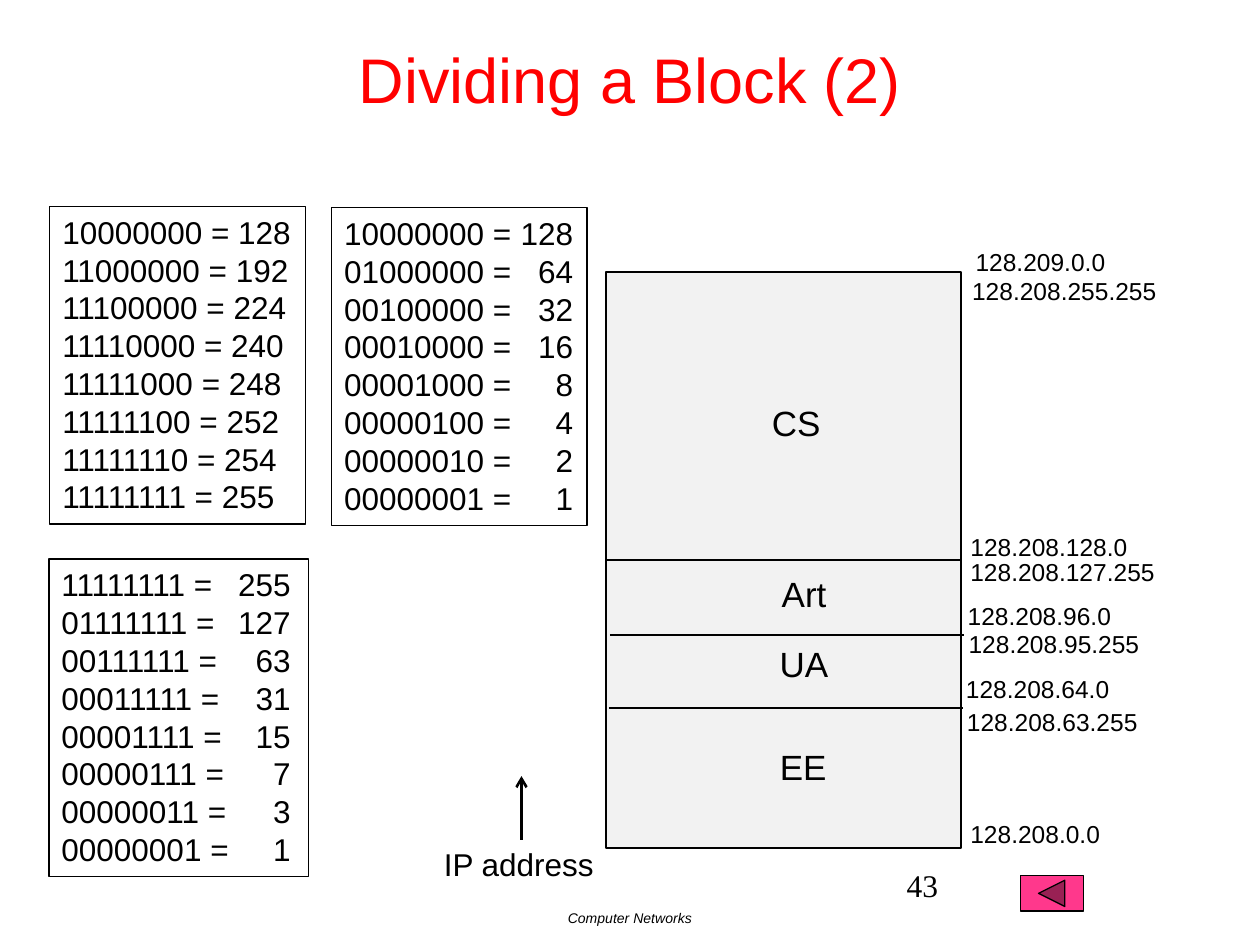
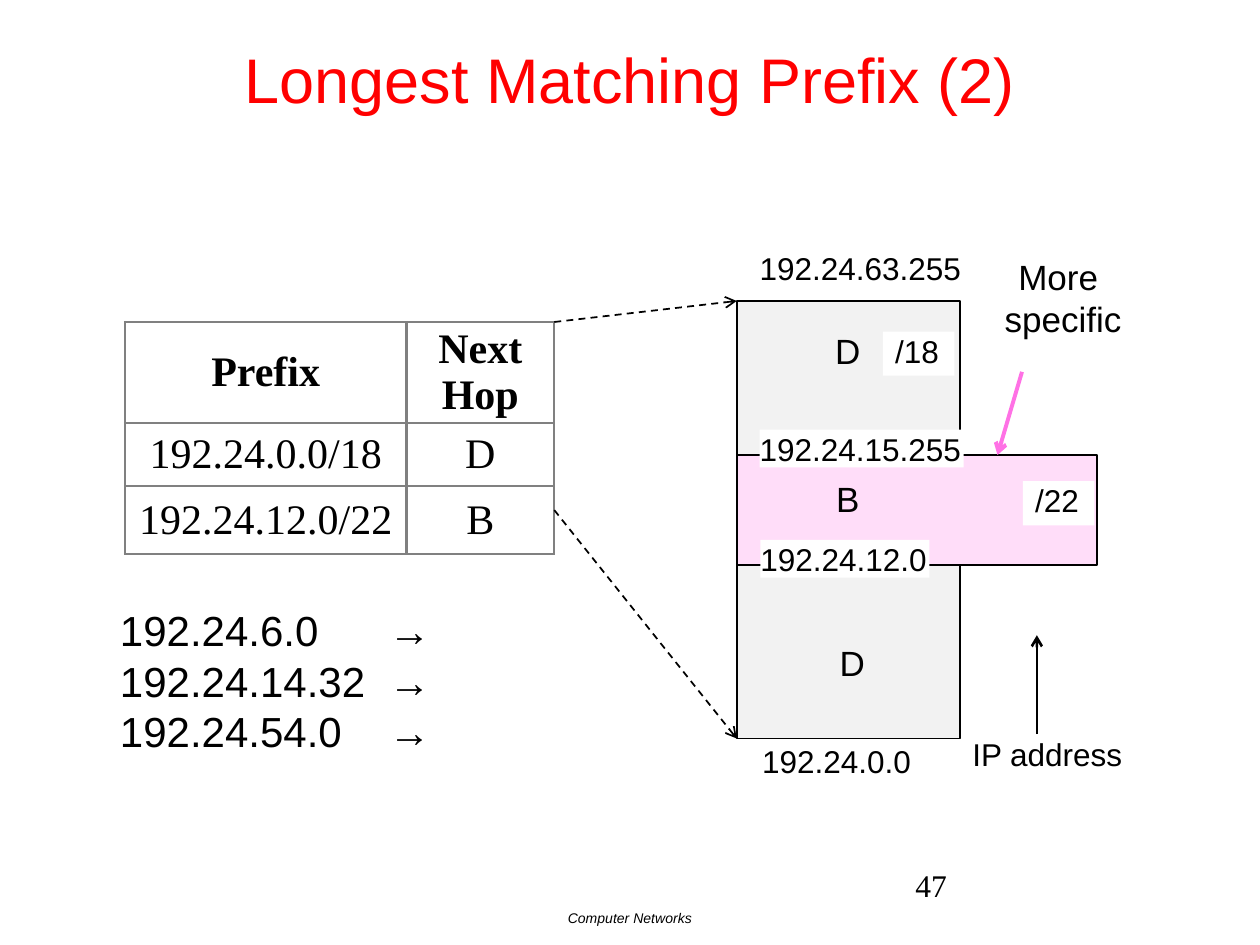
"""Build two slides on dividing IP address blocks and longest prefix matching."""
from lxml import etree
from pptx import Presentation
from pptx.dml.color import RGBColor
from pptx.enum.dml import MSO_LINE
from pptx.enum.shapes import MSO_CONNECTOR, MSO_SHAPE
from pptx.enum.text import MSO_ANCHOR, MSO_AUTO_SIZE, PP_ALIGN
from pptx.oxml.ns import qn
from pptx.util import Pt

RECT = MSO_SHAPE.RECTANGLE
BACK = MSO_SHAPE.ACTION_BUTTON_BACK_OR_PREVIOUS
STRAIGHT = MSO_CONNECTOR.STRAIGHT
DASH = MSO_LINE.DASH
GROW = MSO_AUTO_SIZE.SHAPE_TO_FIT_TEXT
LEFT, CENTER = PP_ALIGN.LEFT, PP_ALIGN.CENTER
TOP, MIDDLE = MSO_ANCHOR.TOP, MSO_ANCHOR.MIDDLE
SANS, SERIF = "Arial", "Times New Roman"
W, H = 720, 540
INSET = (7.2, 3.6, 7.2, 3.6)
COLORS = {
    "title": "FF0000", "ink": "000000", "paper": "FFFFFF", "block": "F2F2F2",
    "specific": "FFDDF9", "pointer": "FF71E5", "button": "FF388C", "grid": "808080",
}

FOOTER = "Computer Networks"
IP_LABEL = "IP address"

BIT_BOXES = [
    (28.5, 118, 146, " ", [128, 192, 224, 240, 248, 252, 254, 255]),
    (189.5, 118.75, 146, "\t", [128, 64, 32, 16, 8, 4, 2, 1]),
    (28, 319.5, 148.5, "\t", [255, 127, 63, 31, 15, 7, 3, 1]),
]
DIVIDED_BLOCK = (346.5, 155.5, 202.5, 329)
DEPARTMENTS = [("CS", 426, 226), ("Art", 430.5, 323.5), ("UA", 430.5, 363.5), ("EE", 430, 422.5)]
DIVIDERS = [(348.5, 363), (348, 404.5)]
BLOCK_ADDRESSES = [
    ("128.209.0.0", 557.5, 141), ("128.208.255.255", 555.5, 157.5),
    ("128.208.128.0", 554.5, 304), ("128.208.127.255", 554.5, 318.5),
    ("128.208.96.0", 553, 343.5), ("128.208.95.255", 553.5, 359.5),
    ("128.208.64.0", 552, 385), ("128.208.63.255", 552.5, 404),
    ("128.208.0.0", 554.5, 468),
]

ROUTES = [("Prefix", "Next Hop"), ("192.24.0.0/18", "D"), ("192.24.12.0/22", "B")]
TABLE_AT = (71.5, 184)
COL_WIDTHS, ROW_HEIGHTS = (160.75, 84.5), (56.75, 36, 39)
LOOKUPS = ["192.24.6.0", "192.24.14.32", "192.24.54.0"]
PREFIX_BLOCK = (421, 172, 127.5, 250)
SPECIFIC_BLOCK = (421, 260, 206, 63)
PREFIX_ADDRESSES = [
    ("192.24.63.255", 434, 142.5), ("192.24.15.255", 434, 245.5),
    ("192.24.12.0", 434.5, 308.5), ("192.24.0.0", 435.5, 424),
]
PREFIX_LENGTHS = [("/18", 504.5, 189.5), ("/22", 584.5, 275)]
HOPS = [("D", 455.5, 185), ("B", 455.5, 269.5), ("D", 458, 363)]


def rgb(name):
    return RGBColor.from_string(COLORS[name])


def set_font(p, size, font=SANS, color="ink", bold=False, italic=False):
    f = p.font
    f.size, f.name, f.bold, f.italic = Pt(size), font, bold, italic
    f.color.rgb = rgb(color)


def add_tab(p, pos, align):
    tabs = etree.SubElement(p._p.get_or_add_pPr(), qn("a:tabLst"))
    etree.SubElement(tabs, qn("a:tab"), pos=str(Pt(pos)), algn=align)


def add_text(s, box, lines, size, align=LEFT, anchor=TOP, inset=INSET, wrap=True, tab=None, **style):
    sp = s.shapes.add_textbox(*map(Pt, box))
    tf = sp.text_frame
    tf.word_wrap, tf.vertical_anchor = wrap, anchor
    tf.margin_left, tf.margin_top, tf.margin_right, tf.margin_bottom = map(Pt, inset)
    tf.text = "\n".join(lines)
    for p in tf.paragraphs:
        p.alignment = align
        if tab:
            add_tab(p, *tab)
        set_font(p, size, **style)
    return sp


def add_label(s, text, x, y, size, pad=0, bottom=0):
    """Add a white label just wider than its digits and punctuation."""
    width = sum(0.556 if c.isdigit() else 0.278 for c in text) * size + 2 * pad + 1.5
    sp = add_text(s, (x, y, round(width, 2), size * 1.2 + bottom), [text], size,
                  inset=(pad, 0, pad, bottom), wrap=False)
    sp.text_frame.auto_size = GROW
    sp.fill.solid()
    sp.fill.fore_color.rgb = rgb("paper")


def add_names(s, names):
    for name, x, y in names:
        add_text(s, (x, y, 58, 31.5), [name], 20, CENTER)


def add_block(s, box, fill, shape=RECT, width=1):
    sp = s.shapes.add_shape(shape, *map(Pt, box))
    sp.shadow.inherit = False
    sp.fill.solid()
    sp.fill.fore_color.rgb = rgb(fill)
    sp.line.color.rgb = rgb("ink")
    sp.line.width = Pt(width)
    return sp


def add_line(s, start, end, width=1, color="ink", dash=None, arrow=True):
    c = s.shapes.add_connector(STRAIGHT, *map(Pt, (*start, *end)))
    c.line.color.rgb = rgb(color)
    c.line.width = Pt(width)
    if dash:
        c.line.dash_style = dash
    if arrow:
        etree.SubElement(c.line._get_or_add_ln(), qn("a:tailEnd"), type="arrow")
    etree.SubElement(c._element.spPr, qn("a:effectLst"))
    return c


def add_ip_arrow(s, x, tail, tip, label_x, label_y):
    add_line(s, (x, tail), (x, tip), 1.5)
    add_text(s, (label_x, label_y, 110, 29), [IP_LABEL], 18)


def add_base(prs, title, number, number_x):
    s = prs.slides.add_slide(prs.slide_layouts[6])
    add_text(s, (0, 0, W, 90), [title], 36, CENTER, MIDDLE, color="title")
    add_text(s, (0, 516, W, 24), [FOOTER], 8, CENTER, italic=True)
    add_text(s, (number_x, 491.5, 150, 36), [number], 18, font=SERIF)
    return s


def add_routes(s):
    shape = s.shapes.add_table(len(ROUTES), len(COL_WIDTHS), *map(Pt, TABLE_AT),
                               Pt(sum(COL_WIDTHS)), Pt(sum(ROW_HEIGHTS)))
    table = shape.table
    table.first_row = table.horz_banding = False
    for col, width in zip(table.columns, COL_WIDTHS):
        col.width = Pt(width)
    for i, (row, height) in enumerate(zip(table.rows, ROW_HEIGHTS)):
        row.height = Pt(height)
        for cell, text in zip(row.cells, ROUTES[i]):
            cell.text = text
            cell.vertical_anchor = MIDDLE
            cell.margin_left = cell.margin_right = Pt(3.6)
            cell.margin_top = cell.margin_bottom = 0
            p = cell.text_frame.paragraphs[0]
            p.alignment = CENTER
            set_font(p, 24, SERIF, bold=i == 0)
            for side in "LRTB":
                ln = etree.SubElement(cell._tc.get_or_add_tcPr(), qn(f"a:ln{side}"), w=str(Pt(1.5)))
                fill = etree.SubElement(ln, qn("a:solidFill"))
                etree.SubElement(fill, qn("a:srgbClr"), val=COLORS["grid"])
            cell.fill.solid()
            cell.fill.fore_color.rgb = rgb("paper")


def build_dividing(prs):
    s = add_base(prs, "Dividing a Block (2)", "43", 511)
    block = add_block(s, DIVIDED_BLOCK, "block")
    x, y, w, h = DIVIDED_BLOCK
    half = add_line(s, (x, y + h / 2), (x + w, y + h / 2), arrow=False)
    half.begin_connect(block, 1)
    half.end_connect(block, 3)
    for left, top in DIVIDERS:
        add_line(s, (left, top), (left + w, top), arrow=False)
    add_names(s, DEPARTMENTS)
    for address in BLOCK_ADDRESSES:
        add_label(s, *address, 14)
    for left, top, width, gap, values in BIT_BOXES:
        lines = [f"{v:08b} ={gap}{v}" for v in values]
        sp = add_text(s, (left, top, width, 181.5), lines, 18, tab=(131, "r") if gap == "\t" else None)
        sp.line.color.rgb = rgb("ink")
        sp.line.width = Pt(0.75)
    add_ip_arrow(s, 298, 480, 443.5, 246.5, 479.5)
    add_block(s, (583, 500.5, 36, 20), "button", BACK, 0.75)


def build_matching(prs):
    s = add_base(prs, "Longest Matching Prefix (2)", "47", 516)
    add_routes(s)
    add_block(s, PREFIX_BLOCK, "block")
    add_block(s, SPECIFIC_BLOCK, "specific")
    for address in PREFIX_ADDRESSES:
        add_label(s, *address, 18)
    for length in PREFIX_LENGTHS:
        add_label(s, *length, 18, pad=7.2, bottom=3.6)
    add_names(s, HOPS)
    x, y, _, h = PREFIX_BLOCK
    right = TABLE_AT[0] + sum(COL_WIDTHS)
    add_line(s, (right, TABLE_AT[1]), (x, y), dash=DASH)
    add_line(s, (right, 291.5), (x, y + h), dash=DASH)
    add_text(s, (61.5, 342, 200, 94.5), [f"{ip}\t→" for ip in LOOKUPS], 24, tab=(153.5, "l"))
    add_text(s, (566.5, 142.5, 82, 55.5), ["More ", "specific"], 20, CENTER)
    add_line(s, (584, 212.5), (570, 260), 2.25, "pointer")
    add_ip_arrow(s, 592.5, 419.5, 363, 548.5, 416.5)


def main():
    prs = Presentation()
    prs.slide_width, prs.slide_height = Pt(W), Pt(H)
    build_dividing(prs)
    build_matching(prs)
    prs.save("out.pptx")


if __name__ == "__main__":
    main()
